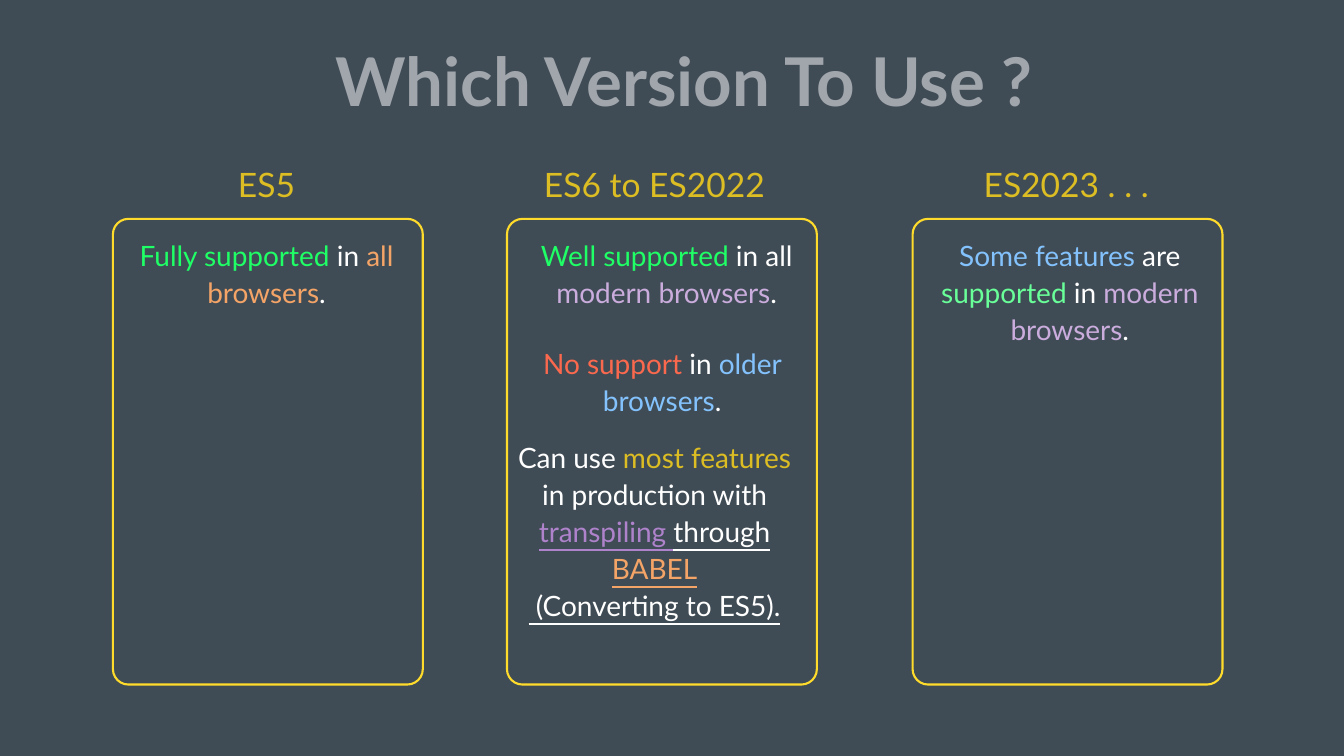
from collections import namedtuple

from pptx import Presentation
from pptx.dml.color import RGBColor
from pptx.enum.shapes import MSO_SHAPE
from pptx.enum.text import MSO_ANCHOR, PP_ALIGN
from pptx.util import Inches, Pt

ROUNDED = MSO_SHAPE.ROUNDED_RECTANGLE
CENTER = PP_ALIGN.CENTER
TOP, MIDDLE = MSO_ANCHOR.TOP, MSO_ANCHOR.MIDDLE

THEME = {
    "font": "Lato",
    "sizes": {"title": 96, "heading": 48, "body": 40},
    "colors": {
        "background": "404C55", "title": "A1A6AC", "heading": "DCBD23",
        "border": "FFDB2C", "white": "FFFFFF", "green": "1FFF66",
        "mint": "69FF99", "orange": "F4A467", "lilac": "CAACDD",
        "purple": "AF82CC", "red": "FA694E", "blue": "83C2FD",
    },
}

# The slide is a grid of 100 columns by 100 rows
WIDTH, HEIGHT = Inches(26.67), Inches(15)
Box = namedtuple("Box", "col row cols rows")

TITLE_BOX = Box(3.41, 7.2, 94.98, 8.6)
CARD_ROW, CARD_COLS, CARD_ROWS = 28.95, 23.06, 61.6
HEADING_RISE, HEADING_ROWS = 7.6, 6.07
NOTE_COLS = 21.22

# Each note: columns and rows from the card's corner, rows tall, paragraphs of runs
COLUMNS = [
    {"col": 8.4, "heading": "ES5", "shift": -0.1, "notes": [
        (0.82, 1.85, 10.1, [[("Fully supported ", "green"), ("in ", "white"),
                             ("all browsers", "orange"), (".", "white")]]),
    ]},
    {"col": 37.72, "heading": "ES6 to ES2022", "shift": -0.56, "notes": [
        (1.27, 1.85, 10.1, [[("Well supported ", "green"), ("in all ", "white"),
                             ("modern browsers", "lilac"), (".", "white")]]),
        (0.94, 16.1, 10.1, [[("No support ", "red"), ("in ", "white"),
                             ("older browsers", "blue"), (".", "white")]]),
        (0.37, 28.6, 29.9, [
            [("Can use ", "white"), ("most features ", "heading"),
             ("in production with ", "white"), ("transpiling ", "purple", True),
             ("through ", "white", True), ("BABEL", "orange", True)],
            [(" (Converting to ES5).", "white", True)]]),
    ]},
    {"col": 67.9, "heading": "ES2023 . . .", "shift": -0.1, "notes": [
        (1.09, 1.85, 15.5, [[("Some features ", "blue"), ("are ", "white"),
                             ("supported", "mint"), (" in ", "white"),
                             ("modern browsers", "lilac"), (".", "white")]]),
    ]},
]


def color(name):
    return RGBColor.from_string(THEME["colors"][name])


def place(box):
    """Turn a grid box into left, top, width and height."""
    return [int(share * side / 100)
            for share, side in zip(box, (WIDTH, HEIGHT, WIDTH, HEIGHT))]


def set_all(target, values):
    for name, value in values.items():
        setattr(target, name, value)


def write(tf, paragraphs, size, spacing=1.0, bold=False, anchor=TOP):
    set_all(tf, {"word_wrap": True, "vertical_anchor": anchor})
    for i, runs in enumerate(paragraphs):
        p = tf.add_paragraph() if i else tf.paragraphs[0]
        set_all(p, {"alignment": CENTER, "line_spacing": spacing})
        for text, tint, *underline in runs:
            r = p.add_run()
            r.text = text
            set_all(r.font, {"name": THEME["font"], "bold": bold,
                             "size": Pt(THEME["sizes"][size]),
                             "underline": bool(underline)})
            r.font.color.rgb = color(tint)


def add_title(s, box, text):
    sp = s.shapes.title
    set_all(sp, dict(zip(("left", "top", "width", "height"), place(box))))
    tf = sp.text_frame
    set_all(tf, dict.fromkeys(
        ("margin_left", "margin_top", "margin_right", "margin_bottom"), 0))
    write(tf, [[(text, "title")]], "title", 0.8, True, MIDDLE)


def add_version(s, box, version):
    # Heading above the card
    heading = Box(box.col + version["shift"], box.row - HEADING_RISE,
                  box.cols, HEADING_ROWS)
    tb = s.shapes.add_textbox(*place(heading))
    write(tb.text_frame, [[(version["heading"], "heading")]], "heading")

    # Outlined card
    card = s.shapes.add_shape(ROUNDED, *place(box))
    card.adjustments[0] = 0.05
    card.shadow.inherit = False
    card.fill.background()
    card.line.color.rgb = color("border")
    card.line.width = Pt(3)

    # Notes in the card
    for dx, dy, rows, paragraphs in version["notes"]:
        note = Box(box.col + dx, box.row + dy, NOTE_COLS, rows)
        tb = s.shapes.add_textbox(*place(note))
        write(tb.text_frame, paragraphs, "body", 1.1)


def main():
    prs = Presentation()
    set_all(prs, {"slide_width": WIDTH, "slide_height": HEIGHT})
    s = prs.slides.add_slide(prs.slide_layouts.get_by_name("Title Only"))
    s.background.fill.solid()
    s.background.fill.fore_color.rgb = color("background")

    add_title(s, TITLE_BOX, "Which Version To Use ?")
    for version in COLUMNS:
        add_version(s, Box(version["col"], CARD_ROW, CARD_COLS, CARD_ROWS), version)
    prs.save("out.pptx")


if __name__ == "__main__":
    main()
